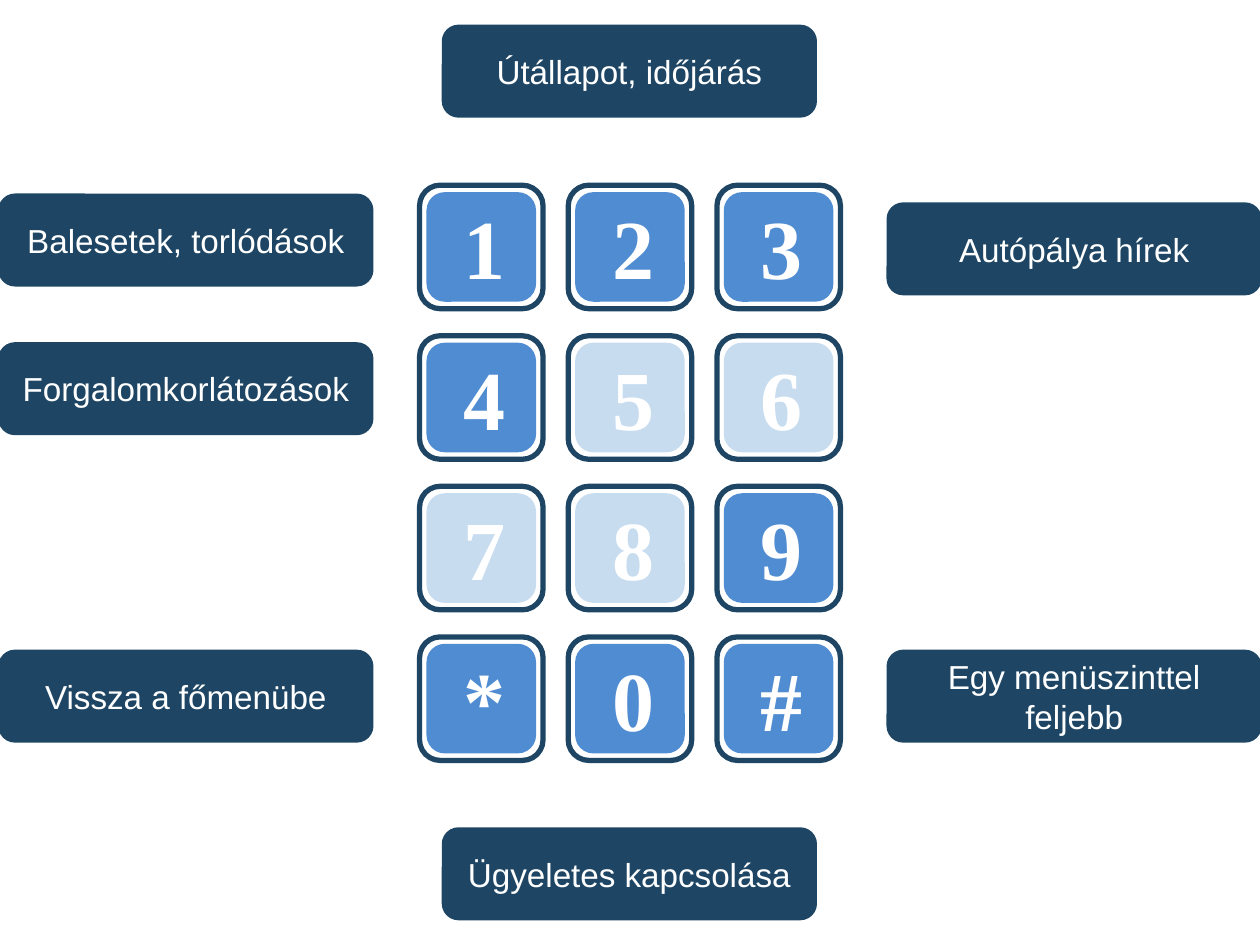
"""Build a slide showing a phone keypad with its menu labels."""
from pptx import Presentation
from pptx.dml.color import RGBColor
from pptx.enum.shapes import MSO_SHAPE
from pptx.enum.text import MSO_ANCHOR, MSO_AUTO_SIZE, PP_ALIGN
from pptx.util import Inches, Pt

ROUND = MSO_SHAPE.ROUNDED_RECTANGLE
MIDDLE = MSO_ANCHOR.MIDDLE
GROW = MSO_AUTO_SIZE.SHAPE_TO_FIT_TEXT
CENTER = PP_ALIGN.CENTER

NAVY, BLUE, PALE, WHITE = "1E4664", "508CD2", "C8DCF0", "FFFFFF"
SANS, SERIF = "Arial", "Times New Roman"

KEYS = ["123", "456", "789", "*0#"]
UNUSED = "5678"
KEY_X, KEY_Y = 3.33, 1.47
STEP_X, STEP_Y = 1.18, 1.195
KEY, FACE = 0.98, 0.87
INSET = (KEY - FACE) / 2

LABEL_W, LABEL_H = 2.95, 0.71
LEFT, MID, RIGHT = 0, 3.52, 7.05
LABELS = [
    (MID, 0.21, ["Útállapot, időjárás"]),
    (MID, 6.58, ["Ügyeletes kapcsolása"]),
    (LEFT, 1.55, ["Balesetek, torlódások"]),
    (RIGHT, 1.62, ["Autópálya", " ", "hírek"]),
    (RIGHT, 5.17, ["Egy menüszinttel feljebb"]),
    (LEFT, 2.73, ["Forgalomkorlátozások"]),
    (LEFT, 5.17, ["Vissza a főmenübe"]),
]


def color(code):
    return RGBColor.from_string(code)


def add_box(shapes, x, y, w, h, fill, line=0):
    box = shapes.add_shape(ROUND, Inches(x), Inches(y), Inches(w), Inches(h))
    box.shadow.inherit = False
    box.fill.solid()
    box.fill.fore_color.rgb = color(fill)
    if line:
        box.line.color.rgb = color(NAVY)
        box.line.width = Pt(line)
    else:
        box.line.fill.background()
    return box


def style(run, size, font, bold):
    run.font.size = Pt(size)
    run.font.name = font
    run.font.bold = bold
    run.font.color.rgb = color(WHITE)


def add_key(shapes, x, y, sign):
    add_box(shapes, x, y, KEY, KEY, WHITE, 3)
    fill = PALE if sign in UNUSED else BLUE
    add_box(shapes, x + INSET, y + INSET, FACE, FACE, fill)
    text = shapes.add_textbox(
        Inches(x + 0.25), Inches(y + 0.035), Inches(0.47), Inches(0.91))
    frame = text.text_frame
    frame.word_wrap = True
    frame.auto_size = GROW
    frame.text = sign
    para = frame.paragraphs[0]
    para.alignment = CENTER
    style(para.runs[0], 48, SERIF, True)


def add_label(shapes, x, y, parts):
    box = add_box(shapes, x, y, LABEL_W, LABEL_H, NAVY, 2)
    frame = box.text_frame
    frame.word_wrap = True
    frame.vertical_anchor = MIDDLE
    para = frame.paragraphs[0]
    para.alignment = CENTER
    for part in parts:
        run = para.add_run()
        run.text = part
        if part == " ":
            style(run, 20, SERIF, True)
        else:
            style(run, 19, SANS, False)


deck = Presentation()
deck.slide_width, deck.slide_height = Inches(10), Inches(7.5)
slide = deck.slides.add_slide(deck.slide_layouts[6])

keypad = slide.shapes.add_group_shape()
for row, signs in enumerate(KEYS):
    for col, sign in enumerate(signs):
        add_key(keypad.shapes, KEY_X + col * STEP_X, KEY_Y + row * STEP_Y, sign)

for x, y, parts in LABELS:
    add_label(slide.shapes, x, y, parts)

deck.save("out.pptx")
